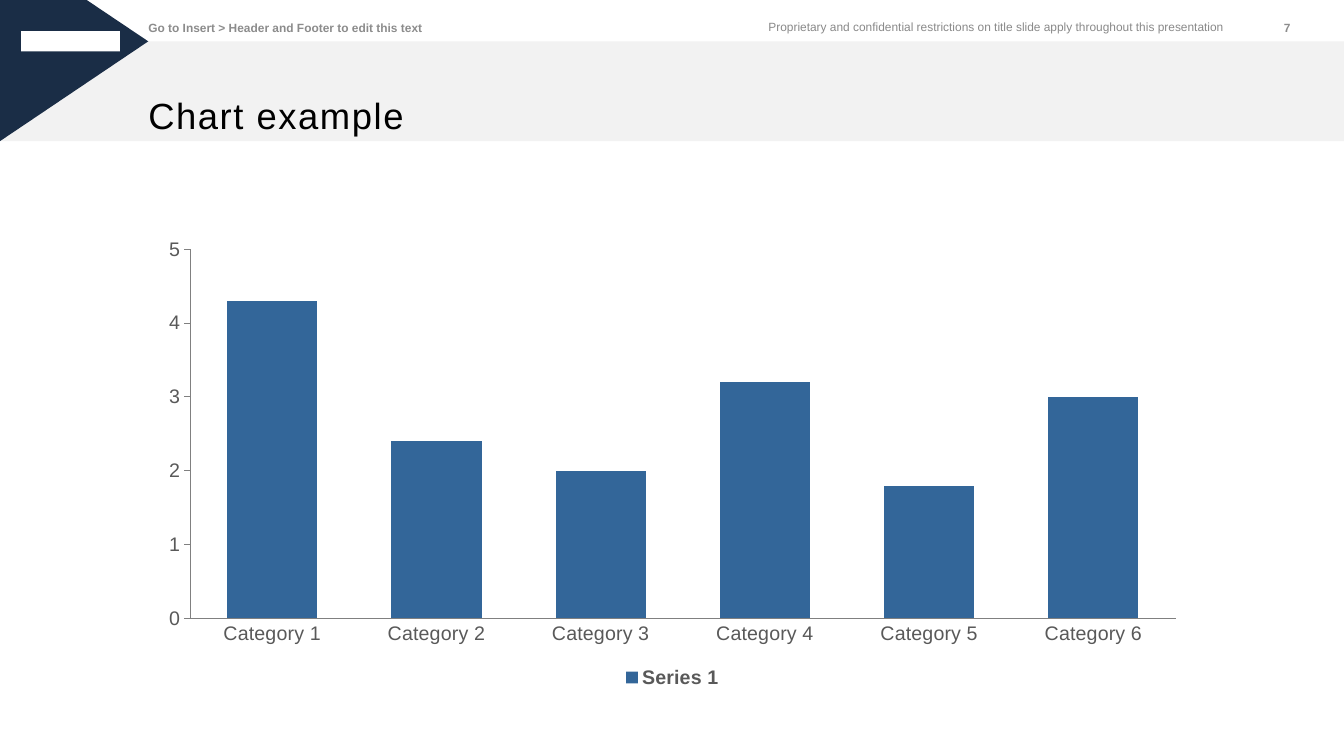
from lxml import etree
from pptx import Presentation, util as u
from pptx.chart.data import CategoryChartData
from pptx.dml.color import RGBColor
from pptx.enum import chart as ch, shapes, text
from pptx.oxml import parse_xml
from pptx.oxml.ns import nsdecls

HUES = {"band": "F2F2F2", "navy": "1A2D46", "white": "FFFFFF", "black": "000000",
        "note": "898989", "head": "8C8C8C", "label": "595959", "axis": "808080",
        "bar": "336699"}
FACE = "Arial"

deck = Presentation()
deck.slide_width, deck.slide_height = u.Inches(13.33), u.Inches(7.5)
# The grid has 100 columns and 100 rows
COL, ROW = deck.slide_width / 100, deck.slide_height / 100
LEFT, TOP, BASE = 11.03, 5.47, 18.67   # content edge, band top, band bottom


def grid(*spots):
    """Turn alternating column and row counts into whole lengths."""
    return [round(n * (ROW if i % 2 else COL)) for i, n in enumerate(spots)]


def style(font, size, hue, bold=False):
    """Set face, size, colour and weight of a font."""
    font.name, font.size, font.bold = FACE, u.Pt(size), bold
    font.color.rgb = RGBColor.from_string(HUES[hue])


slide = deck.slides.add_slide(deck.slide_layouts[5])
parts = slide.shapes

# Band, corner wedge and logo block
band = parts.add_shape(shapes.MSO_SHAPE.RECTANGLE, *grid(0, TOP, 100, BASE - TOP))
pen = parts.build_freeform(*grid(0, BASE), scale=1.0)
pen.add_line_segments([grid(*p) for p in ((LEFT, TOP), (6.45, 0), (0, 0))])
wedge = pen.convert_to_shape()
logo = parts.add_shape(shapes.MSO_SHAPE.RECTANGLE, *grid(1.58, 4.13, 7.35, 2.67))
for part, hue in ((band, "band"), (wedge, "navy"), (logo, "white")):
    part.shadow.inherit = False
    part.fill.solid()
    part.fill.fore_color.rgb = RGBColor.from_string(HUES[hue])
    part.line.fill.background()

# Title, brought in front of the band
title = parts.title
title.element.getparent().append(title.element)
title.left, title.top, title.width, title.height = grid(LEFT, TOP, 100 - LEFT, BASE - TOP)
title.text = "Chart example"
frame = title.text_frame
frame.vertical_anchor = text.MSO_ANCHOR.BOTTOM
frame.auto_size = text.MSO_AUTO_SIZE.NONE
frame.margin_left = frame.margin_right = frame.margin_top = 0
frame.margin_bottom = u.Inches(0.04)
line = frame.paragraphs[0]
line.alignment = text.PP_ALIGN.LEFT
style(line.font, 26, "black")
line.runs[0].font._element.set("spc", "110")

# Chart
data = CategoryChartData(number_format="General")
data.categories = [f"Category {n}" for n in range(1, 7)]
data.add_series("Series 1", (4.3, 2.4, 2, 3.2, 1.8, 3))
chart = parts.add_chart(ch.XL_CHART_TYPE.COLUMN_CLUSTERED,
                        *grid(LEFT, 30.53, 78, 61.07), data).chart
style(chart.font, 14, "black")
chart.has_title = False
chart.has_legend = True
chart.legend.position = ch.XL_LEGEND_POSITION.BOTTOM
chart.legend.include_in_layout = False
style(chart.legend.font, 14, "label", True)

plot = chart.plots[0]
plot.gap_width, plot.overlap, plot.vary_by_categories = 82, -84, False
bars = plot.series[0].format.fill
bars.solid()
bars.fore_color.rgb = RGBColor.from_string(HUES["bar"])

cats, vals = chart.category_axis, chart.value_axis
for axis, tick in ((cats, ch.XL_TICK_MARK.NONE), (vals, ch.XL_TICK_MARK.OUTSIDE)):
    axis.major_tick_mark, axis.minor_tick_mark = tick, ch.XL_TICK_MARK.NONE
    axis.has_major_gridlines = False
    style(axis.tick_labels.font, 14, "label")
    axis.format.line.width = u.Pt(0.75)
    axis.format.line.color.rgb = RGBColor.from_string(HUES["axis"])
vals.minimum_scale, vals.maximum_scale, vals.major_unit = 0, 5, 1
vals.tick_labels.number_format = "0"
vals.tick_labels.number_format_is_linked = False

# Place the plot inside the chart, in shares of its size
area = chart._chartSpace.chart.plotArea
for old in area.findall("{*}layout"):
    area.remove(old)
place = parse_xml(f"<c:layout {nsdecls('c')}><c:manualLayout/></c:layout>")
for tag, val in (("layoutTarget", "inner"), ("xMode", "edge"), ("yMode", "edge"),
                 ("x", 0.04), ("y", 0.04), ("w", 0.94), ("h", 0.8)):
    etree.SubElement(place[0], f"{{{place.nsmap['c']}}}{tag}").set("val", str(val))
area.insert(0, place)

# Header texts
RIGHT = text.PP_ALIGN.RIGHT
for words, spot, side, hue, bold in (
        ("Proprietary and confidential restrictions on title slide apply "
         "throughout this presentation", (45.46, 2.53, 45.61, 2.8), RIGHT, "note", False),
        ("Go to Insert > Header and Footer to edit this text",
         (LEFT, 2.67, 21.08, 2.27), text.PP_ALIGN.LEFT, "head", True),
        ("7", (93.17, 2.67, 2.85, 2.27), RIGHT, "head", True)):
    frame = parts.add_textbox(*grid(*spot)).text_frame
    frame.word_wrap = True
    frame.margin_left = frame.margin_right = frame.margin_top = frame.margin_bottom = 0
    line = frame.paragraphs[0]
    line.text, line.alignment = words, side
    style(line.font, 8.5, hue, bold)

deck.save("out.pptx")
